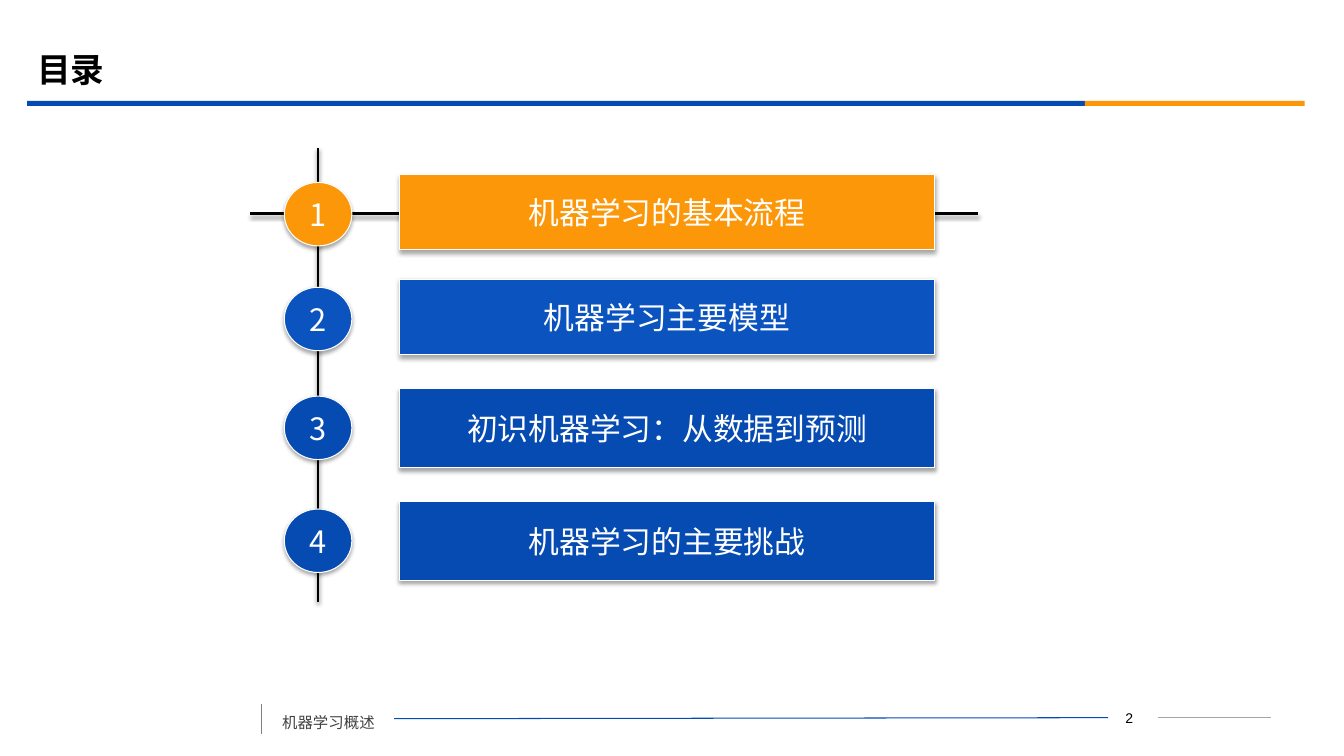
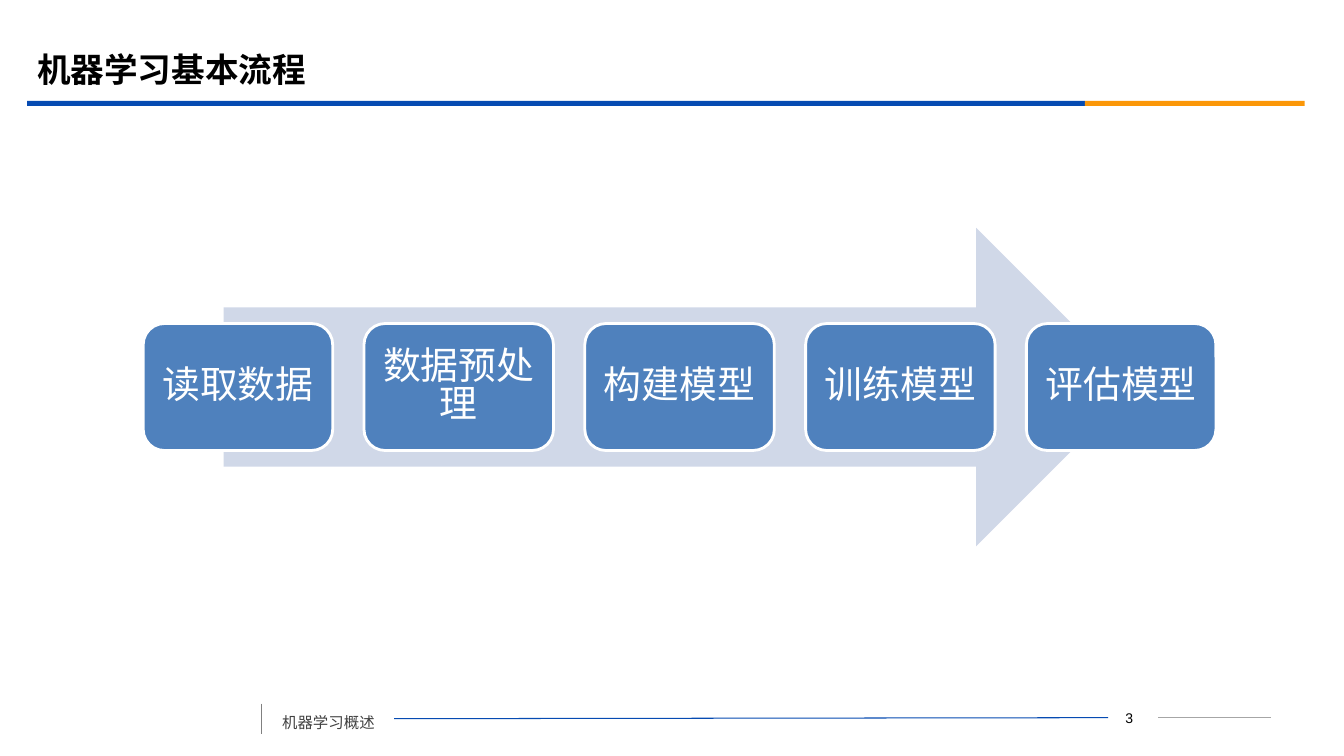
from dataclasses import dataclass

from lxml import etree
from pptx import Presentation
from pptx.dml.color import RGBColor
from pptx.enum.shapes import MSO_CONNECTOR, MSO_SHAPE
from pptx.enum.text import MSO_ANCHOR, PP_ALIGN
from pptx.oxml.ns import qn
from pptx.util import Inches, Pt

STRAIGHT = MSO_CONNECTOR.STRAIGHT
RECT = MSO_SHAPE.RECTANGLE
OVAL = MSO_SHAPE.OVAL
BUTTON = MSO_SHAPE.ACTION_BUTTON_CUSTOM
ROUNDED = MSO_SHAPE.ROUNDED_RECTANGLE
ARROW = MSO_SHAPE.RIGHT_ARROW
TOP, MIDDLE = MSO_ANCHOR.TOP, MSO_ANCHOR.MIDDLE
LEFT, CENTER = PP_ALIGN.LEFT, PP_ALIGN.CENTER


@dataclass(frozen=True)
class Theme:
    blue: str = "064BB2"
    bright_blue: str = "0B53BE"
    orange: str = "FB9708"
    step: str = "4F81BD"
    arrow: str = "D0D8E8"
    black: str = "000000"
    white: str = "FFFFFF"
    footer: str = "404040"
    divider: str = "808080"
    pale_rule: str = "A6A6A6"
    cjk: str = "Noto Sans CJK SC"
    latin: str = "Arial"
    heading: str = "Montserrat"
    title_size: float = 24
    agenda_size: float = 22
    step_size: float = 27
    footer_size: float = 11
    page_size: float = 10


THEME = Theme()
COURSE = "机器学习概述"
AGENDA = [
    ("机器学习的基本流程", THEME.orange, 0.26, 0.75, 0.34),
    ("机器学习主要模型", THEME.bright_blue, 1.3, 0.75, 1.38),
    ("初识机器学习：从数据到预测", THEME.blue, 2.38, 0.79, 2.46),
    ("机器学习的主要挑战", THEME.blue, 3.5, 0.79, 3.58),
]
STEPS = ["读取数据", "数据预处理", "构建模型", "训练模型", "评估模型"]


def rgb(value):
    return RGBColor.from_string(value)


def add_effects(shape, opacity=0, distance=0):
    effects = etree.SubElement(shape._element.spPr, qn("a:effectLst"))
    if opacity:
        shadow = etree.SubElement(effects, qn("a:outerShdw"), {
            "blurRad": str(Pt(3.1)), "dist": str(Pt(distance)),
            "dir": "5400000", "rotWithShape": "0"})
        color = etree.SubElement(shadow, qn("a:srgbClr"), val=THEME.black)
        etree.SubElement(color, qn("a:alpha"), val=str(opacity * 1000))


def write(shape, text, size, color, font, align=CENTER, anchor=MIDDLE,
          bold=False, wrap=True, spacing=None, inset=None):
    frame = shape.text_frame
    frame.word_wrap = wrap
    frame.vertical_anchor = anchor
    if inset is not None:
        for side in ("left", "right", "top", "bottom"):
            setattr(frame, f"margin_{side}", Inches(inset))
    paragraph = frame.paragraphs[0]
    paragraph.alignment = align
    if spacing:
        paragraph.line_spacing = spacing
    run = paragraph.add_run()
    run.text = text
    for name, value in {"size": Pt(size), "bold": bold, "name": font}.items():
        setattr(run.font, name, value)
    run.font.color.rgb = rgb(color)
    etree.SubElement(run._r.get_or_add_rPr(), qn("a:ea"), typeface=THEME.cjk)


def add_text(slide, box, text, **style):
    write(slide.shapes.add_textbox(*map(Inches, box)), text, **style)


def add_block(slide, kind, box, fill, outline=0, shadowed=False):
    block = slide.shapes.add_shape(kind, *map(Inches, box))
    block.fill.solid()
    block.fill.fore_color.rgb = rgb(fill)
    if outline:
        block.line.color.rgb = rgb(THEME.white)
        block.line.width = Pt(outline)
    else:
        block.line.fill.background()
    if shadowed:
        add_effects(block, 35, 1.8)
    else:
        block.shadow.inherit = False
    return block


def add_rule(slide, ends, color, width, shadowed=False):
    rule = slide.shapes.add_connector(STRAIGHT, *map(Inches, ends))
    rule.line.color.rgb = rgb(color)
    rule.line.width = Pt(width)
    if shadowed:
        add_effects(rule, 38, 1.6)
    else:
        add_effects(rule)


def add_header(slide, box, title):
    left, top, width, height = box
    add_text(slide, (left, top, 12, 0.58), title, size=THEME.title_size,
             color=THEME.black, font=THEME.heading, align=LEFT, bold=True)
    accent = 2.18
    band_top = top + height - 0.05
    add_block(slide, RECT, (left, band_top, width - accent, 0.05), THEME.blue)
    add_block(slide, RECT, (left + width - accent, band_top, accent, 0.05),
              THEME.orange)


def add_footer(slide, box, number):
    left, top, width, height = box
    middle = top + height / 2
    add_rule(slide, (left, top, left, top + height), THEME.divider, 0.75)
    add_rule(slide, (left + 1.32, middle, left + 8.4, middle - 0.01),
             THEME.blue, 0.75)
    add_rule(slide, (left + 8.9, middle - 0.01, left + width, middle - 0.01),
             THEME.pale_rule, 0.75)
    add_text(slide, (left + 0.11, top, 1.21, 0.38), COURSE,
             size=THEME.footer_size, color=THEME.footer, font=THEME.cjk,
             align=LEFT)
    add_text(slide, (left + 8.3, top + 0.01, 0.62, 0.25), str(number),
             size=THEME.page_size, color=THEME.black, font=THEME.latin,
             anchor=TOP)


def add_agenda(slide, box):
    left, top, width, height = box
    badge_width, badge_height = 0.67, 0.63
    badge_left = left + 0.34
    axis = badge_left + badge_width / 2
    add_rule(slide, (axis, top, axis, top + height), THEME.black, 2, True)
    add_rule(slide, (left, top + 0.65, left + width, top + 0.65),
             THEME.black, 2, True)
    style = dict(size=THEME.agenda_size, color=THEME.white, font=THEME.cjk,
                 wrap=False)
    for number, (topic, fill, offset, bar, badge_top) in enumerate(AGENDA, 1):
        parts = [
            (OVAL, (badge_left, top + badge_top, badge_width, badge_height),
             str(number)),
            (BUTTON, (left + 1.48, top + offset, 5.31, bar), topic),
        ]
        for kind, place, text in parts:
            write(add_block(slide, kind, place, fill, 0.75, True), text, **style)


def add_process(slide, box):
    left, top, width, height = box
    step_width, step_height = 1.88, 1.26
    pitch = (width - step_width) / (len(STEPS) - 1)
    arrow_width = width * 0.85
    add_block(slide, ARROW, (left + (width - arrow_width) / 2, top,
                             arrow_width, height), THEME.arrow)
    for index, step in enumerate(STEPS):
        place = (left + index * pitch, top + (height - step_height) / 2,
                 step_width, step_height)
        write(add_block(slide, ROUNDED, place, THEME.step, 2), step,
              size=THEME.step_size, color=THEME.white, font=THEME.latin,
              spacing=0.84, inset=0.05)


def main():
    deck = Presentation()
    deck.slide_width, deck.slide_height = Inches(13.33), Inches(7.5)
    pages = [
        ("目录", add_agenda, (2.48, 1.47, 7.22, 4.5)),
        ("机器学习基本流程", add_process, (1.42, 2.26, 10.64, 3.16)),
    ]
    for number, (title, add_body, body_box) in enumerate(pages, 2):
        slide = deck.slides.add_slide(deck.slide_layouts[6])
        add_footer(slide, (2.59, 6.98, 10.02, 0.3), number)
        add_header(slide, (0.27, 0.39, 12.67, 0.66), title)
        add_body(slide, body_box)
    deck.save("out.pptx")


if __name__ == "__main__":
    main()
